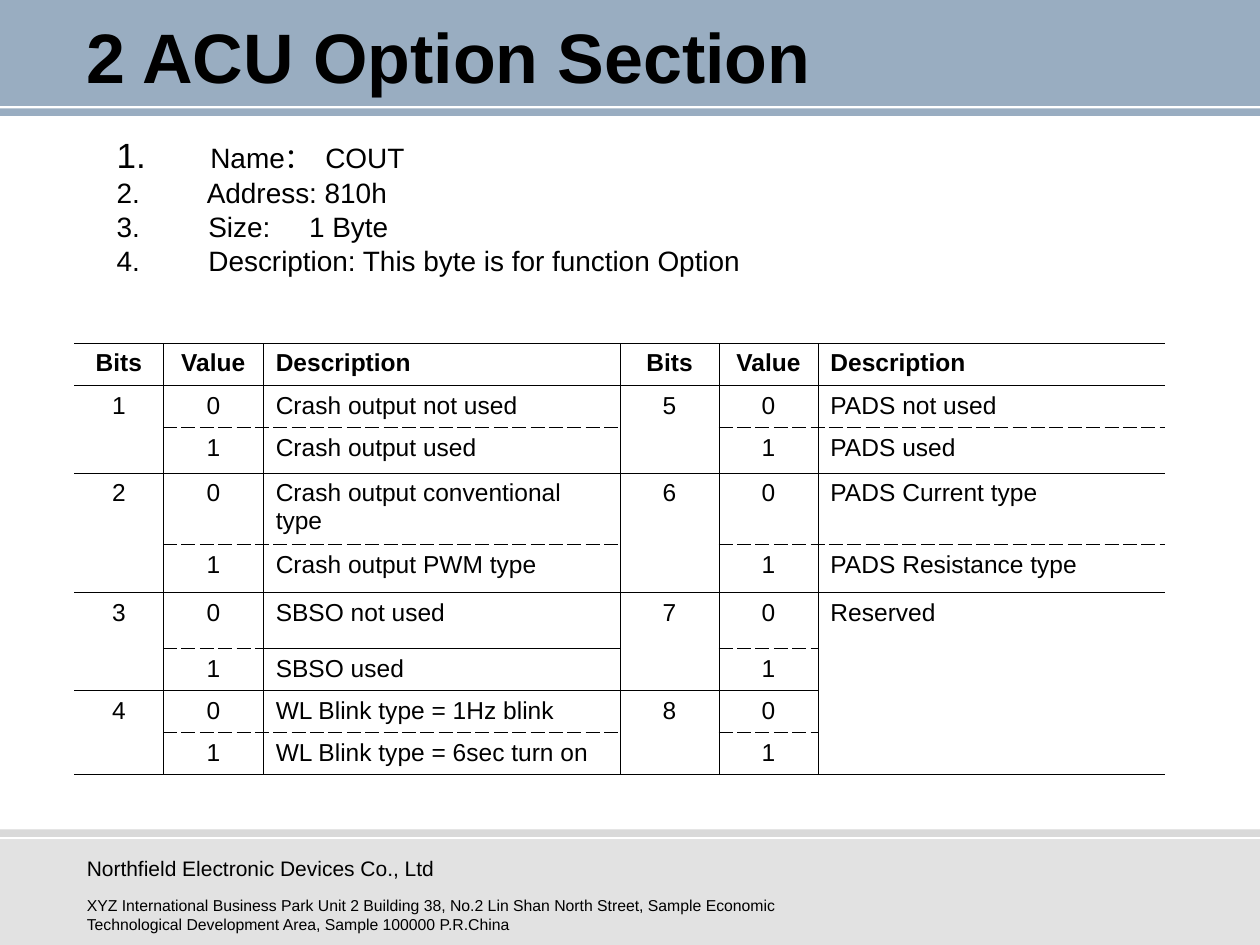
import pptx
import pptx.dml.color
import pptx.enum.shapes
import pptx.enum.text
import pptx.oxml
import pptx.oxml.ns
import pptx.util
from lxml import etree

Pt = pptx.util.Pt
RGBColor = pptx.dml.color.RGBColor
qn = pptx.oxml.ns.qn
PP_ALIGN = pptx.enum.text.PP_ALIGN

BLACK = RGBColor(0x00, 0x00, 0x00)
NAVY = RGBColor(0x00, 0x33, 0x66)
SILVER = RGBColor(0xC0, 0xC0, 0xC0)
NO_GRID_STYLE = "{2D5ABB26-0587-4C30-8999-92F81FD0307C}"


def style_run(span, size, bold=False):
    span.font.name = "Arial"
    span.font.size = Pt(size)
    span.font.bold = bold
    span.font.color.rgb = BLACK


def add_border(cell, side, dash="solid"):
    """Draw one cell edge; side is L, R, T or B, called in that order."""
    cell._tc.get_or_add_tcPr().append(pptx.oxml.parse_xml(
        f'<a:ln{side} {pptx.oxml.ns.nsdecls("a")} w="{Pt(0.45)}">'
        f'<a:solidFill><a:srgbClr val="{BLACK}"/></a:solidFill>'
        f'<a:prstDash val="{dash}"/></a:ln{side}>'))


deck = pptx.Presentation()
deck.slide_width, deck.slide_height = Pt(720), Pt(540)
slide = deck.slides.add_slide(deck.slide_layouts[6])

# Header and footer bands: top, height, colour, opacity in percent
bands = [
    (0, 60.5, NAVY, 40),
    (479.5, 60.5, SILVER, 46),
    (474, 4.3, SILVER, 60),
    (62, 4.3, NAVY, 40),
]
for top, height, color, opacity in bands:
    band = slide.shapes.add_shape(
        pptx.enum.shapes.MSO_SHAPE.RECTANGLE, 0, Pt(top), Pt(720), Pt(height))
    band.shadow.inherit = False
    band.line.fill.background()
    band.fill.solid()
    band.fill.fore_color.rgb = color
    color_node = band.fill._xPr.find(qn("a:solidFill"))[0]
    etree.SubElement(color_node, qn("a:alpha")).set("val", str(opacity * 1000))

# Title and footer lines: text, left, top, width, height, size, bold
captions = [
    ("2 ACU Option Section", 42.5, 9, 636, 45.4, 40, True),
    ("Northfield Electronic Devices Co., Ltd", 42.5, 485.6, 459.4, 22.3, 12, False),
    ("XYZ International Business Park Unit 2 Building 38, No.2 Lin Shan North Street, "
     "Sample Economic Technological Development Area, Sample 100000 P.R.China",
     42.5, 508.3, 459.4, 31.7, 9, False),
]
for text, left, top, width, height, size, bold in captions:
    box = slide.shapes.add_textbox(Pt(left), Pt(top), Pt(width), Pt(height))
    frame = box.text_frame
    frame.word_wrap = True
    frame.text = text
    if bold:
        frame.vertical_anchor = pptx.enum.text.MSO_ANCHOR.MIDDLE
    style_run(frame.paragraphs[0].runs[0], size, bold)

# Numbered facts: size of the lead space (and number), label, gap in points, value
facts = [
    (20, "Name：", 3.6, "COUT"),
    (16, "Address:", 0, "810h"),
    (16, "Size:", 17.6, "1 Byte"),
    (16, "Description:", 0, "This byte is for function Option"),
]
box = slide.shapes.add_textbox(Pt(59.6), Pt(77.3), Pt(607.7), Pt(73.4))
frame = box.text_frame
frame.word_wrap = True
for index, (lead_size, label, gap, value) in enumerate(facts):
    para = frame.paragraphs[0] if index == 0 else frame.add_paragraph()
    para.line_spacing = 0.8
    para.space_before = Pt(4)
    properties = para._p.get_or_add_pPr()
    properties.set("marL", str(Pt(48)))
    properties.set("indent", str(Pt(-48)))
    etree.SubElement(properties, qn("a:buFont")).set("typeface", "Arial")
    etree.SubElement(properties, qn("a:buAutoNum")).set("type", "arabicPeriod")
    for text, size in ((" ", lead_size), (label, 16), (" ", 16), (value, 16)):
        span = para.add_run()
        span.text = text
        style_run(span, size)
    para.runs[2].font._element.set("spc", str(int(gap * 100)))

# Option table
column_widths = [51, 57, 204, 56.5, 56.5, 198.5]
row_heights = [24, 24, 26.2, 40.5, 27.3, 32, 24, 24, 24]
rows = [
    ["Bits", "Value", "Description"] * 2,
    ["1", "0", "Crash output not used", "5", "0", "PADS not used"],
    ["", "1", "Crash output used", "", "1", "PADS used"],
    ["2", "0", "Crash output conventional type", "6", "0", "PADS Current type"],
    ["", "1", "Crash output PWM type", "", "1", "PADS Resistance type"],
    ["3", "0", "SBSO not used", "7", "0", "Reserved"],
    ["", "1", "SBSO used", "", "1", ""],
    ["4", "0", "WL Blink type = 1Hz blink", "8", "0", ""],
    ["", "1", "WL Blink type = 6sec turn on", "", "1", ""],
]
DESCRIPTION_COLUMNS = (2, 5)
SOLID_INNER_EDGE = (6, 2)

table_frame = slide.shapes.add_table(
    len(rows), len(column_widths), Pt(42.4), Pt(196.2),
    Pt(sum(column_widths)), Pt(sum(row_heights)))
table = table_frame.table
table.first_row = table.horz_banding = False
table._tbl.tblPr.find(qn("a:tableStyleId")).text = NO_GRID_STYLE
for column, width in zip(table.columns, column_widths):
    column.width = Pt(width)
for row, height in zip(table.rows, row_heights):
    row.height = Pt(height)

for first in range(1, len(rows), 2):
    for column in (0, 3):
        table.cell(first, column).merge(table.cell(first + 1, column))
table.cell(5, 5).merge(table.cell(8, 5))

for r, row in enumerate(rows):
    for c, text in enumerate(row):
        cell = table.cell(r, c)
        if c > 0:
            add_border(cell, "L")
        if c < len(row) - 1:
            add_border(cell, "R")
        # Each bit takes two rows, split by a dashed edge
        for side, edge in (("T", r), ("B", r + 1)):
            inner = edge > 0 and edge % 2 == 0 and (edge, c) != SOLID_INNER_EDGE
            if cell.is_merge_origin:
                add_border(cell, side)
            elif not cell.is_spanned:
                add_border(cell, side, "dash" if inner else "solid")
            elif edge == len(rows) or (side == "B" and c in (0, 3)):
                add_border(cell, side)
        cell.fill.background()
        if text:
            cell.text_frame.text = text
            para = cell.text_frame.paragraphs[0]
            para.space_before = Pt(3.5)
            para.alignment = PP_ALIGN.LEFT if c in DESCRIPTION_COLUMNS else PP_ALIGN.CENTER
            style_run(para.runs[0], 14, bold=r == 0)

deck.save("out.pptx")
